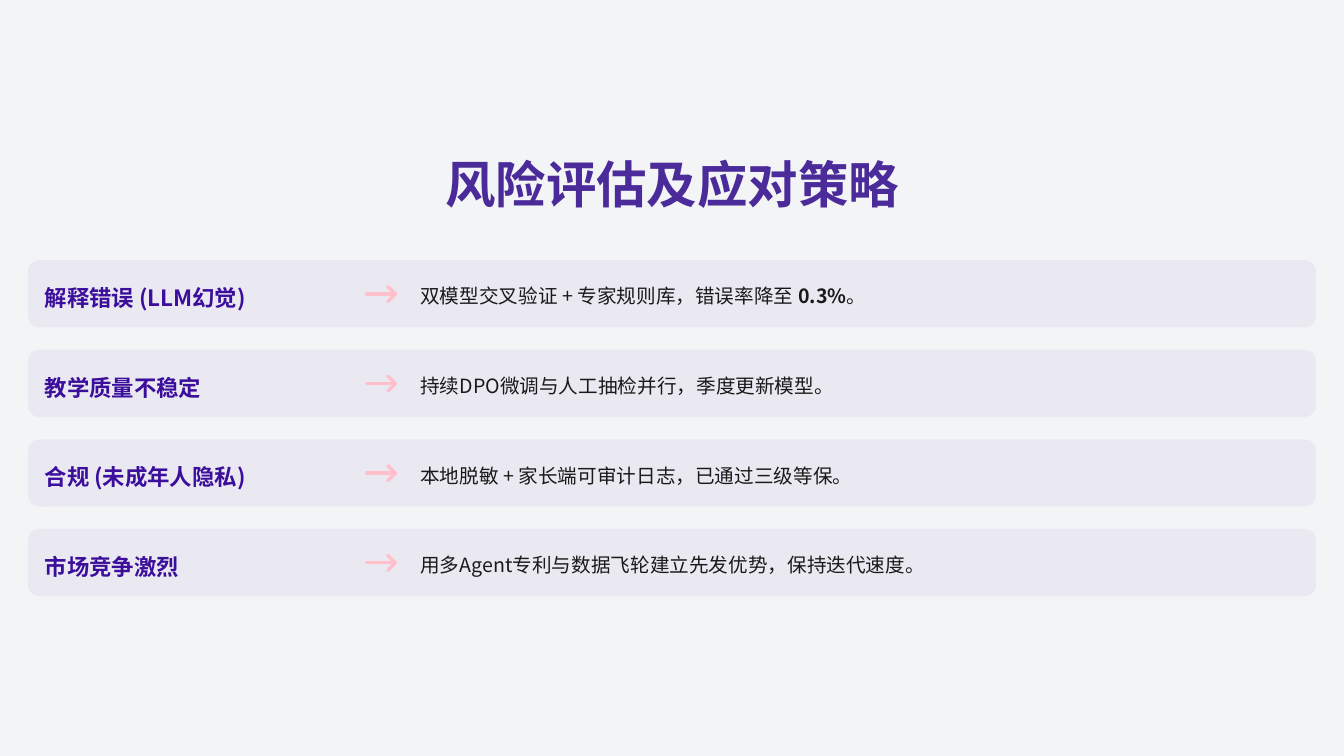
"""Build a slide that pairs four risks with their responses."""
from lxml import etree
from pptx import Presentation
from pptx.dml.color import RGBColor
from pptx.enum.shapes import MSO_SHAPE
from pptx.enum.text import MSO_ANCHOR, PP_ALIGN
from pptx.oxml.ns import qn
from pptx.util import Pt

ROUNDED = MSO_SHAPE.ROUNDED_RECTANGLE
MIDDLE = MSO_ANCHOR.MIDDLE
LEFT, CENTER = PP_ALIGN.LEFT, PP_ALIGN.CENTER

TITLE = "风险评估及应对策略"
RISKS = [
    ("解释错误 (LLM幻觉)", 332,
     [("双模型交叉验证 + 专家规则库，错误率降至 ", False), ("0.3%", True), ("。", False)]),
    ("教学质量不稳定", 303.2, [("持续DPO微调与人工抽检并行，季度更新模型。", False)]),
    ("合规 (未成年人隐私)", 319, [("本地脱敏 + 家长端可审计日志，已通过三级等保。", False)]),
    ("市场竞争激烈", 367.2, [("用多Agent专利与数据飞轮建立先发优势，保持迭代速度。", False)]),
]

THEME = {
    "font": "Noto Sans CJK SC",
    "background": "F3F4F6",
    "card": "4A2B99",
    "card_alpha": 5,
    "arrow": "FFC0CB",
    "title": {"size": 36, "color": "4A2B99", "spacing": 0.9, "align": CENTER},
    "risk": {"size": 16, "color": "3B0E9C", "spacing": 1.3, "align": LEFT},
    "response": {"size": 14, "color": "1A1A1A", "spacing": 1.2, "align": LEFT},
}

PAGE_WIDTH, PAGE_HEIGHT = 960, 540
CARD_LEFT, CARD_TOP, CARD_WIDTH, CARD_HEIGHT = 20, 185.8, 920, 48
CARD_PITCH, CARD_RADIUS = 64, 8
RISK_LEFT, RISK_DROP, RISK_WIDTH, RISK_HEIGHT = 32, 12, 232, 23.8
RESPONSE_LEFT, RESPONSE_DROP, RESPONSE_HEIGHT = 300.2, 14, 20
ARROW_LEFT, ARROW_TIP, ARROW_DROP, ARROW_HEAD, ARROW_WEIGHT = 261.8, 282.4, 24.2, 5.4, 2.4


def set_all(target, values):
    for name, value in values.items():
        setattr(target, name, value)


def add_text(page, area, spans, style):
    box = page.shapes.add_textbox(*map(Pt, area))
    frame = box.text_frame
    set_all(frame, {"word_wrap": True, "vertical_anchor": MIDDLE, "margin_left": 0,
                    "margin_right": 0, "margin_top": 0, "margin_bottom": 0})
    para = frame.paragraphs[0]
    set_all(para, {"alignment": style["align"], "line_spacing": style["spacing"]})
    for text, bold in spans:
        span = para.add_run()
        span.text = text
        set_all(span.font, {"name": THEME["font"], "size": Pt(style["size"]), "bold": bold})
        span.font.color.rgb = RGBColor.from_string(style["color"])
        east_asian = etree.SubElement(span.font._element, qn("a:ea"))
        east_asian.set("typeface", THEME["font"])


def add_card(page, top):
    card = page.shapes.add_shape(
        ROUNDED, Pt(CARD_LEFT), Pt(top), Pt(CARD_WIDTH), Pt(CARD_HEIGHT))
    card.adjustments[0] = CARD_RADIUS / CARD_HEIGHT
    card.shadow.inherit = False
    card.line.fill.background()
    card.fill.solid()
    card.fill.fore_color.rgb = RGBColor.from_string(THEME["card"])
    color = card._element.spPr.find(".//" + qn("a:srgbClr"))
    etree.SubElement(color, qn("a:alpha")).set("val", str(THEME["card_alpha"] * 1000))


def add_arrow(page, middle):
    head_left = ARROW_TIP - ARROW_HEAD
    outline = page.shapes.build_freeform(Pt(ARROW_LEFT), Pt(middle))
    outline.add_line_segments([(Pt(ARROW_TIP), Pt(middle))], close=False)
    outline.move_to(Pt(head_left), Pt(middle - ARROW_HEAD))
    outline.add_line_segments(
        [(Pt(ARROW_TIP), Pt(middle)), (Pt(head_left), Pt(middle + ARROW_HEAD))], close=False)
    arrow = outline.convert_to_shape()
    arrow.shadow.inherit = False
    arrow.fill.background()
    arrow.line.width = Pt(ARROW_WEIGHT)
    arrow.line.color.rgb = RGBColor.from_string(THEME["arrow"])
    stroke = arrow._element.spPr.find(qn("a:ln"))
    stroke.set("cap", "rnd")
    etree.SubElement(stroke, qn("a:round"))


def main():
    deck = Presentation()
    set_all(deck, {"slide_width": Pt(PAGE_WIDTH), "slide_height": Pt(PAGE_HEIGHT)})
    page = deck.slides.add_slide(deck.slide_layouts[6])
    page.background.fill.solid()
    page.background.fill.fore_color.rgb = RGBColor.from_string(THEME["background"])
    add_text(page, (10.8, 113.8, 938.4, 40.4), [(TITLE, True)], THEME["title"])
    for row, (risk, width, response) in enumerate(RISKS):
        top = CARD_TOP + row * CARD_PITCH
        add_card(page, top)
        add_text(page, (RISK_LEFT, top + RISK_DROP, RISK_WIDTH, RISK_HEIGHT),
                 [(risk, True)], THEME["risk"])
        add_arrow(page, top + ARROW_DROP)
        add_text(page, (RESPONSE_LEFT, top + RESPONSE_DROP, width, RESPONSE_HEIGHT),
                 response, THEME["response"])
    deck.save("out.pptx")


if __name__ == "__main__":
    main()
